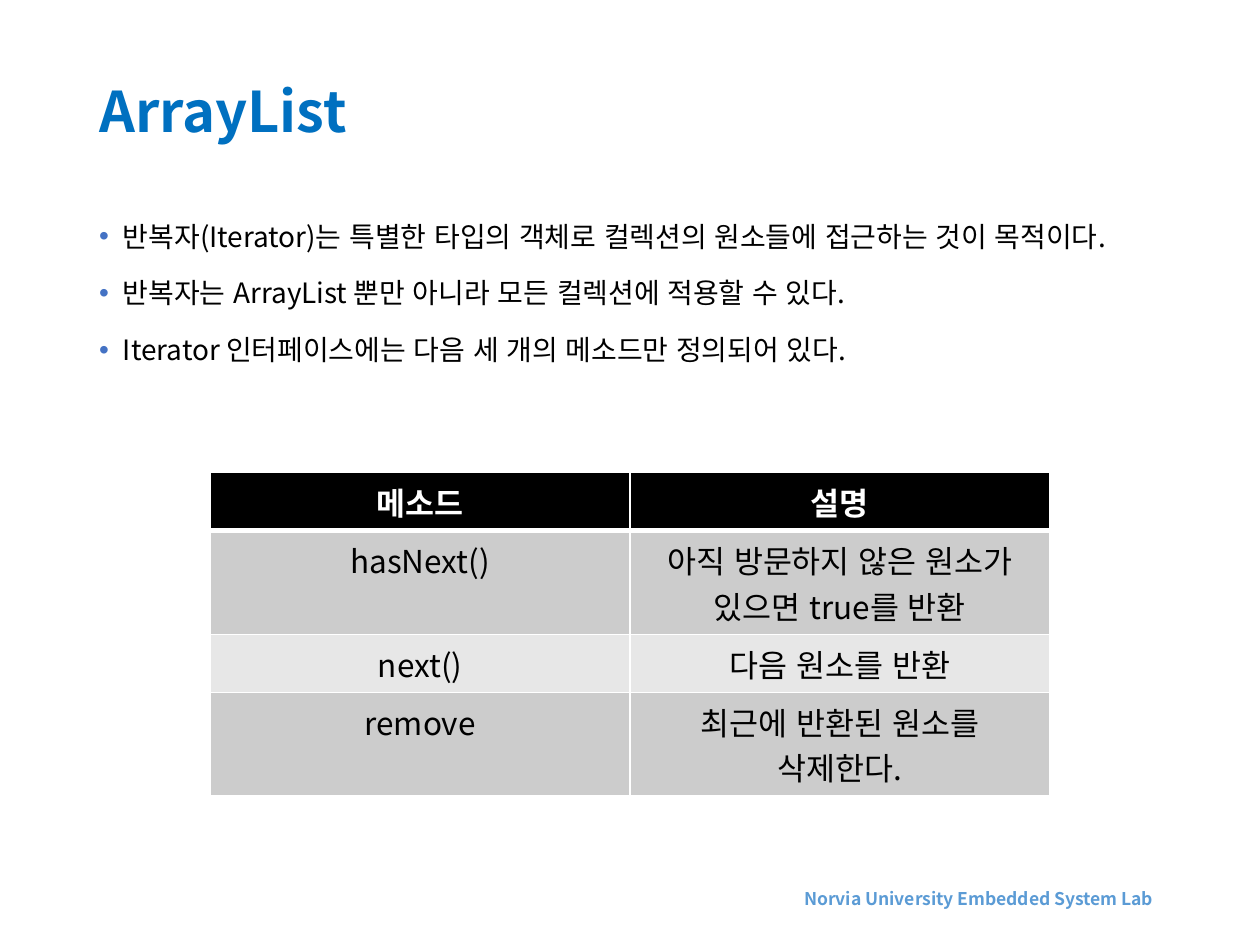
from dataclasses import dataclass

import pptx
import pptx.dml.color
import pptx.enum.lang
import pptx.enum.text
import pptx.oxml
import pptx.oxml.ns
import pptx.util
from lxml import etree

Cm = pptx.util.Cm
Pt = pptx.util.Pt
RGB = pptx.dml.color.RGBColor.from_string
qn = pptx.oxml.ns.qn
CENTER = pptx.enum.text.PP_ALIGN.CENTER
MIDDLE = pptx.enum.text.MSO_ANCHOR.MIDDLE


@dataclass(frozen=True)
class Theme:
    font: str = "Noto Sans CJK KR"
    title: str = "0070C0"
    bullet: str = "4472C4"
    footer: str = "5B9BD5"
    black: str = "000000"
    white: str = "FFFFFF"
    bands: tuple = ("CCCCCC", "E7E7E7")
    title_size: int = 32
    body_size: int = 16
    table_size: int = 18
    footer_size: int = 10


theme = Theme()


def style(paragraph, size, color, bold=False):
    """Set the paragraph font for both Latin and Korean text."""
    font = paragraph.font
    font.size, font.bold, font.name = Pt(size), bold, theme.font
    font.language_id = pptx.enum.lang.MSO_LANGUAGE_ID.KOREAN
    font.color.rgb = RGB(color)
    defaults = paragraph._p.pPr.find(qn("a:defRPr"))
    etree.SubElement(defaults, qn("a:ea"), typeface=theme.font)


def add_frame(left, top, width, height):
    box = slide.shapes.add_textbox(Cm(left), Cm(top), Cm(width), Cm(height))
    box.text_frame.word_wrap = True
    return box.text_frame


deck = pptx.Presentation()
deck.slide_width, deck.slide_height = Cm(25.4), Cm(19.05)
slide = deck.slides.add_slide(deck.slide_layouts[6])

# Title
title = add_frame(1.75, 1.02, 21.9, 2.57)
title.vertical_anchor = MIDDLE
title.text = "ArrayList"
title.paragraphs[0].line_spacing = 0.9
style(title.paragraphs[0], theme.title_size, theme.title, bold=True)

# Bullet points
points = [
    "반복자(Iterator)는 특별한 타입의 객체로 컬렉션의 원소들에 접근하는 것이 목적이다.",
    "반복자는 ArrayList 뿐만 아니라 모든 컬렉션에 적용할 수 있다.",
    "Iterator 인터페이스에는 다음 세 개의 메소드만 정의되어 있다.",
]
body = add_frame(1.75, 4.09, 22.35, 13.08)
body.text = "\n".join(points)
for point in body.paragraphs:
    point.line_spacing = 1.3
    point.space_before = Pt(7.5)
    properties = point._p.get_or_add_pPr()
    properties.set("marL", str(Cm(0.48)))
    properties.set("indent", str(-Cm(0.48)))
    bullet_color = etree.SubElement(properties, qn("a:buClr"))
    etree.SubElement(bullet_color, qn("a:srgbClr"), val=theme.bullet)
    etree.SubElement(properties, qn("a:buFont"), typeface="Arial")
    etree.SubElement(properties, qn("a:buChar"), char="•")
    style(point, theme.body_size, theme.black)

# Iterator methods
one_line, two_lines = 1.17, 2.09
methods = [
    ("메소드", "설명", one_line),
    ("hasNext()", "아직 방문하지 않은 원소가 있으면 true를 반환", two_lines),
    ("next()", "다음 원소를 반환", one_line),
    ("remove", "최근에 반환된 원소를 삭제한다.", two_lines),
]
table_height = sum(height for *_, height in methods)
table = slide.shapes.add_table(
    len(methods), 2, Cm(4.24), Cm(9.53), Cm(16.92), Cm(table_height)
).table
for row, (*texts, height) in enumerate(methods):
    header = row == 0
    table.rows[row].height = Cm(height)
    for column, text in enumerate(texts):
        cell = table.cell(row, column)
        cell.text = text
        paragraph = cell.text_frame.paragraphs[0]
        paragraph.alignment = CENTER
        style(paragraph, theme.table_size, theme.white if header else theme.black, header)
        cell_properties = cell._tc.get_or_add_tcPr()
        for side in ("lnL", "lnR", "lnT", "lnB"):
            thick = (header and side == "lnB") or (row == 1 and side == "lnT")
            border = etree.SubElement(
                cell_properties, qn(f"a:{side}"), w=str(Pt(3 if thick else 1))
            )
            line_fill = etree.SubElement(border, qn("a:solidFill"))
            etree.SubElement(line_fill, qn("a:srgbClr"), val=theme.white)
        cell.fill.solid()
        cell.fill.fore_color.rgb = RGB(theme.black if header else theme.bands[(row - 1) % 2])

# Footer
footer = add_frame(14.86, 17.6, 9.73, 1.02)
footer.vertical_anchor = MIDDLE
footer.text = "Norvia University Embedded System Lab"
footer.paragraphs[0].alignment = CENTER
style(footer.paragraphs[0], theme.footer_size, theme.footer, bold=True)

deck.save("out.pptx")
